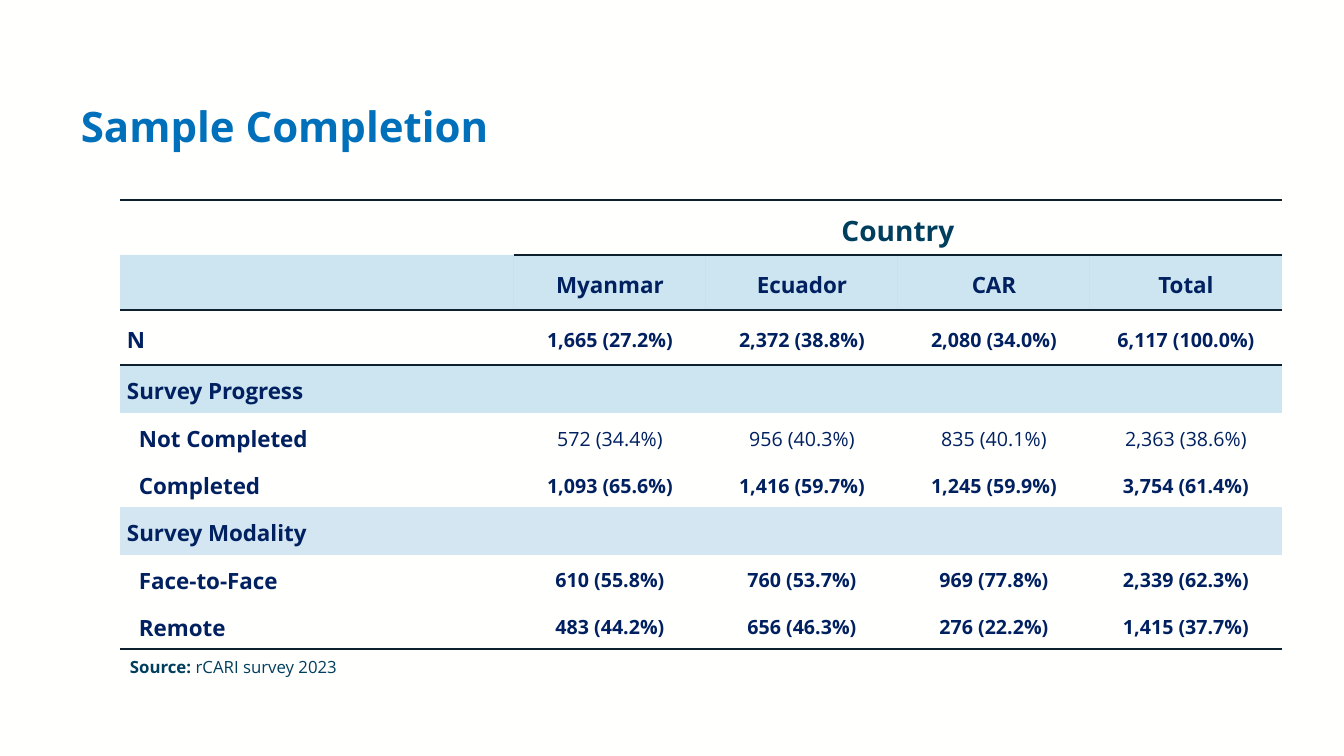
from dataclasses import dataclass
from typing import Optional

from lxml.etree import SubElement
from pptx import Presentation
from pptx.dml.color import RGBColor
from pptx.enum.text import MSO_ANCHOR as Anchor, PP_ALIGN as Align
from pptx.oxml import parse_xml
from pptx.oxml.ns import nsdecls, qn
from pptx.util import Emu, Pt

FONT = "Open Sans"
PAPER = RGBColor(0xFF, 0xFF, 0xFE)
TITLE_BLUE = RGBColor(0x00, 0x70, 0xBA)
TEAL = RGBColor(0x00, 0x3E, 0x5E)
NAVY = RGBColor(0x00, 0x20, 0x60)
RULE = RGBColor(0x0D, 0x20, 0x30)
BAND = RGBColor(0x00, 0x7D, 0xBC)
PALE_BAND = RGBColor(0xD4, 0xE6, 0xF2)
PLAIN_STYLE = "{2D5ABB26-0587-4C30-8999-92F81FD0307C}"

COLUMN_WIDTHS = (394, 192, 192, 192, 192)
TABLE_LEFT, TABLE_TOP = 120, 200
CELL_MARGIN, SUB_ITEM_INDENT = 7, 12


@dataclass(frozen=True)
class Row:
    height: int
    label: str = ""
    values: tuple[str, ...] = ()
    value_size: int = 14
    value_bold: bool = True
    value_color: RGBColor = NAVY
    fill: Optional[RGBColor] = None
    opacity: int = 100
    sub_item: bool = False
    merge_from: Optional[int] = None
    rule_from: Optional[int] = None  # first column with a rule below it


ROWS = (
    Row(55, values=("Country",), value_size=20, value_color=TEAL, merge_from=1, rule_from=1),
    Row(55, values=("Myanmar", "Ecuador", "CAR", "Total"), value_size=16,
        fill=BAND, opacity=20, rule_from=0),
    Row(55, "N", ("1,665 (27.2%)", "2,372 (38.8%)", "2,080 (34.0%)", "6,117 (100.0%)")),
    Row(48, "Survey Progress", fill=BAND, opacity=20, merge_from=0),
    Row(47, "Not Completed", ("572 (34.4%)", "956 (40.3%)", "835 (40.1%)", "2,363 (38.6%)"),
        value_bold=False, sub_item=True),
    Row(47, "Completed", ("1,093 (65.6%)", "1,416 (59.7%)", "1,245 (59.9%)", "3,754 (61.4%)"),
        sub_item=True),
    Row(48, "Survey Modality", fill=PALE_BAND, merge_from=0),
    Row(47, "Face-to-Face", ("610 (55.8%)", "760 (53.7%)", "969 (77.8%)", "2,339 (62.3%)"),
        sub_item=True),
    Row(47, "Remote", ("483 (44.2%)", "656 (46.3%)", "276 (22.2%)", "1,415 (37.7%)"),
        sub_item=True, rule_from=0),
)


def px(length: int) -> Emu:
    return Emu(round(length * 914400 / 100.8))


def add_span(para, text: str, size: int, color: RGBColor, bold: bool = True) -> None:
    span = para.add_run()
    span.text = text
    span.font.name = FONT
    span.font.size = Pt(size)
    span.font.bold = bold
    span.font.color.rgb = color


def add_box(page, left: int, top: int, width: int, height: int, anchor, align, spacing: float):
    """Add a wrapping text box and return its first paragraph."""
    frame = page.shapes.add_textbox(px(left), px(top), px(width), px(height)).text_frame
    frame.word_wrap = True
    frame.vertical_anchor = anchor
    para = frame.paragraphs[0]
    para.alignment = align
    para.line_spacing = spacing
    return para


def fill_cell(cell, color: Optional[RGBColor], opacity: int) -> None:
    if color is None:
        cell.fill.background()
        return
    cell.fill.solid()
    cell.fill.fore_color.rgb = color
    if opacity < 100:
        tint = cell._tc.tcPr.find(".//" + qn("a:srgbClr"))
        SubElement(tint, qn("a:alpha")).set("val", str(opacity * 1000))


def rule_cell(cell, top: bool, bottom: bool) -> None:
    """Borders stand before the fill, with the top one first."""
    for tag, wanted in (("lnB", bottom), ("lnT", top)):
        if wanted:
            cell._tc.get_or_add_tcPr().insert(0, parse_xml(
                f'<a:{tag} {nsdecls("a")} w="{Pt(1.5)}"><a:solidFill>'
                f'<a:srgbClr val="{RULE}"/></a:solidFill></a:{tag}>'))


def has_rule_below(row_index: int, column: int) -> bool:
    if row_index < 0:
        return True
    start = ROWS[row_index].rule_from
    return start is not None and column >= start


def add_sample_table(page) -> None:
    last_column = len(COLUMN_WIDTHS) - 1
    table = page.shapes.add_table(
        len(ROWS), len(COLUMN_WIDTHS), px(TABLE_LEFT), px(TABLE_TOP),
        px(sum(COLUMN_WIDTHS)), px(sum(row.height for row in ROWS))).table
    table.first_row = table.horz_banding = False
    table._tbl.tblPr.find(qn("a:tableStyleId")).text = PLAIN_STYLE
    for column, width in zip(table.columns, COLUMN_WIDTHS):
        column.width = px(width)

    for row_index, row in enumerate(ROWS):
        table.rows[row_index].height = px(row.height)
        texts = (row.label, *row.values)
        for column in range(len(COLUMN_WIDTHS)):
            cell = table.cell(row_index, column)
            is_label = column == 0
            indent = SUB_ITEM_INDENT if is_label and row.sub_item else 0
            cell.margin_left = px(CELL_MARGIN + indent)
            cell.margin_right = px(CELL_MARGIN)
            cell.margin_top = cell.margin_bottom = 0
            cell.vertical_anchor = Anchor.MIDDLE
            fill_cell(cell, row.fill, row.opacity)
            rule_cell(cell, has_rule_below(row_index - 1, column),
                      has_rule_below(row_index, column))
            if column < len(texts) and texts[column]:
                para = cell.text_frame.paragraphs[0]
                para.alignment = Align.LEFT if is_label else Align.CENTER
                para.line_spacing = 1.15
                if is_label:
                    add_span(para, row.label, 16, NAVY)
                else:
                    add_span(para, texts[column], row.value_size, row.value_color, row.value_bold)
        if row.merge_from is not None:
            table.cell(row_index, row.merge_from).merge(table.cell(row_index, last_column))


def main() -> None:
    deck = Presentation()
    deck.slide_width, deck.slide_height = px(1344), px(756)
    page = deck.slides.add_slide(deck.slide_layouts[6])
    page.background.fill.solid()
    page.background.fill.fore_color.rgb = PAPER

    # Title
    title = add_box(page, 71, 58, 1212, 142, Anchor.MIDDLE, Align.LEFT, 0.9)
    add_span(title, "Sample Completion", 30, TITLE_BLUE)

    # Completion table
    add_sample_table(page)

    # Source line
    source = add_box(page, 120, 649, 672, 32, Anchor.TOP, Align.JUSTIFY, 1.15)
    add_span(source, "Source:", 12, TEAL)
    add_span(source, " rCARI survey 2023", 12, TEAL, bold=False)

    deck.save("out.pptx")


if __name__ == "__main__":
    main()
